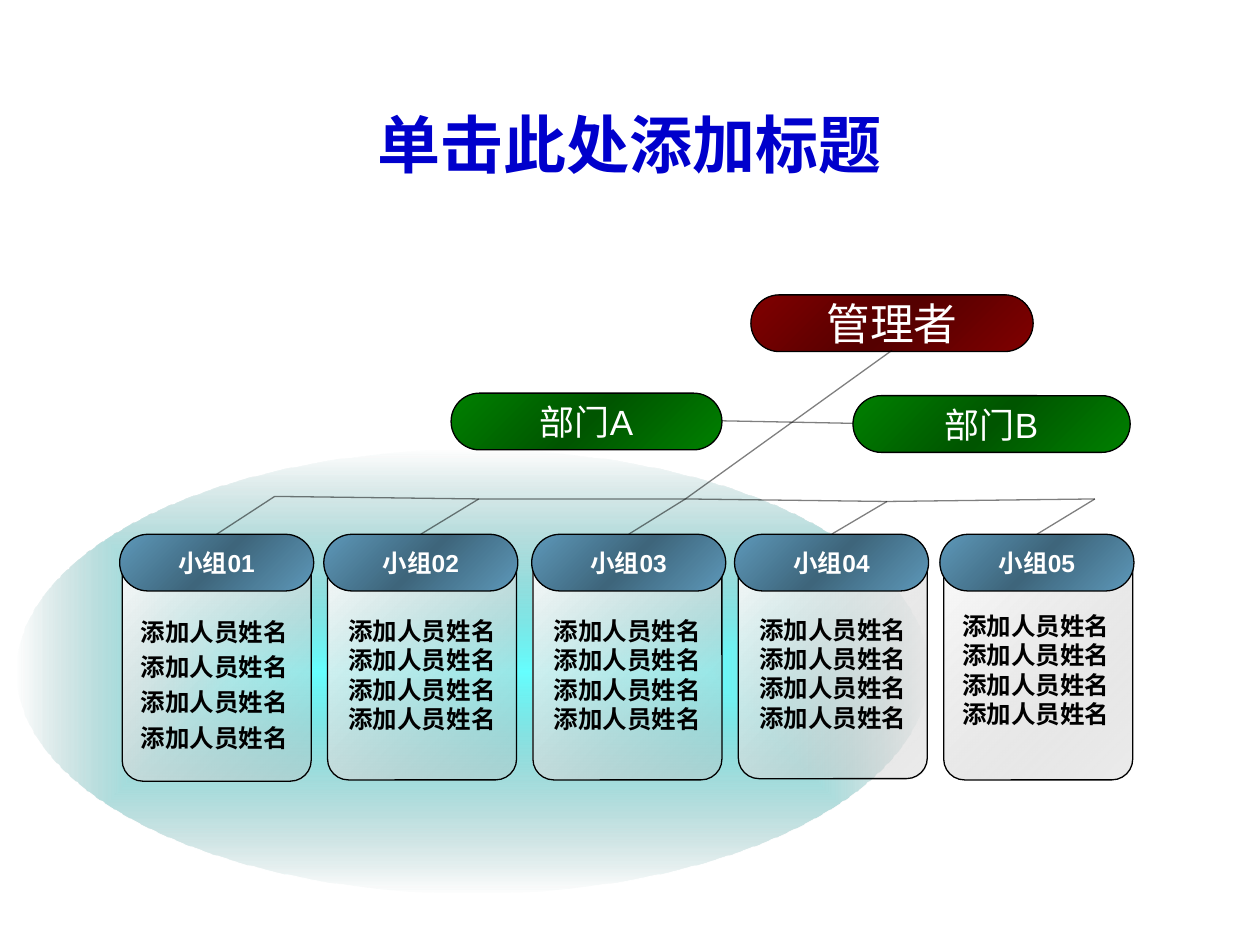
from lxml.etree import SubElement
from pptx import Presentation
from pptx.dml.color import RGBColor
from pptx.enum.shapes import MSO_CONNECTOR, MSO_SHAPE
from pptx.enum.text import MSO_ANCHOR, PP_ALIGN
from pptx.oxml import parse_xml
from pptx.oxml.ns import nsdecls, qn
from pptx.util import Inches, Pt

BLACK = RGBColor(0x00, 0x00, 0x00)
WHITE = RGBColor(0xFF, 0xFF, 0xFF)
TITLE_BLUE = RGBColor(0x00, 0x00, 0xCC)
RED = RGBColor(0x80, 0x00, 0x00)
DARK_RED = RGBColor(0x55, 0x00, 0x00)
GREEN = RGBColor(0x00, 0x80, 0x00)
DARK_GREEN = RGBColor(0x00, 0x55, 0x00)
STEEL = RGBColor(0x5D, 0x98, 0xB9)
DARK_STEEL = RGBColor(0x3E, 0x65, 0x7B)
CYAN = RGBColor(0x66, 0xFF, 0xFF)
TEAL = RGBColor(0x2F, 0x76, 0x76)
SILVER = RGBColor(0xC0, 0xC0, 0xC0)

LINEAR = '<a:lin ang="2700000" scaled="1"/>'
FROM_CENTER = ('<a:path path="rect"><a:fillToRect l="50000" t="50000" '
               'r="50000" b="50000"/></a:path>')


def set_gradient(sp, stops, direction=LINEAR):
    gs = "".join(
        f'<a:gs pos="{pos * 1000}"><a:srgbClr val="{color}">'
        f'<a:alpha val="{alpha * 1000}"/></a:srgbClr></a:gs>'
        for pos, color, alpha in stops)
    sp.fill.background()
    props = sp._element.spPr
    props.replace(props.find(qn("a:noFill")), parse_xml(
        f'<a:gradFill {nsdecls("a")} rotWithShape="1">'
        f'<a:gsLst>{gs}</a:gsLst>{direction}</a:gradFill>'))
    sp.shadow.inherit = False


def add_pill(x, y, w, text, size, bold, color, dark):
    sp = s.shapes.add_shape(MSO_SHAPE.ROUNDED_RECTANGLE, Inches(x), Inches(y), Inches(w), Inches(0.45))
    sp.adjustments[0] = 0.5
    set_gradient(sp, [(0, color, 100), (50, dark, 100), (100, color, 100)])
    sp.line.color.rgb = BLACK
    sp.line.width = Pt(0.75)
    tf = sp.text_frame
    tf.word_wrap = False
    tf.vertical_anchor = MSO_ANCHOR.MIDDLE
    p = tf.paragraphs[0]
    p.text = text
    p.alignment = PP_ALIGN.CENTER
    p.font.name = "Arial"
    p.font.size = Pt(size)
    p.font.bold = bold
    p.font.color.rgb = WHITE


prs = Presentation()
prs.slide_width = Inches(10)
prs.slide_height = Inches(7.5)
s = prs.slides.add_slide(prs.slide_layouts[6])

title = s.shapes.add_textbox(Inches(1.25), Inches(0.77), Inches(7.5), Inches(0.73))
tf = title.text_frame
tf.word_wrap = True
tf.vertical_anchor = MSO_ANCHOR.MIDDLE
p = tf.paragraphs[0]
p.text = "单击此处添加标题"
p.alignment = PP_ALIGN.CENTER
p.font.name = "Arial"
p.font.size = Pt(36)
p.font.bold = True
p.font.color.rgb = TITLE_BLUE

glow = s.shapes.add_shape(MSO_SHAPE.OVAL, Inches(0.13), Inches(3.57), Inches(7.24), Inches(3.51))
set_gradient(glow, [(0, CYAN, 100), (100, TEAL, 0)], FROM_CENTER)
glow.line.fill.background()

add_pill(6.77, 3.14, 2.2, "部门B", 20, False, GREEN, DARK_GREEN)
add_pill(3.58, 3.12, 2.15, "部门A", 20, False, GREEN, DARK_GREEN)
add_pill(5.96, 2.34, 2.24, "管理者", 25, False, RED, DARK_RED)

cards = [
    (0.97, 4.29, 0.51, PP_ALIGN.LEFT, 1.2),
    (2.6, 4.28, 0.56, PP_ALIGN.CENTER, 1.0),
    (4.23, 4.28, 0.56, PP_ALIGN.CENTER, 1.0),
    (5.86, 4.27, 0.56, PP_ALIGN.CENTER, 1.0),
    (7.49, 4.28, 0.52, PP_ALIGN.LEFT, 1.0),
]
for x, y, top, align, spacing in cards:
    sp = s.shapes.add_shape(MSO_SHAPE.ROUNDED_RECTANGLE, Inches(x), Inches(y), Inches(1.5), Inches(1.91))
    sp.adjustments[0] = 0.11
    set_gradient(sp, [(0, WHITE, 100), (100, SILVER, 30)])
    sp.line.color.rgb = BLACK
    sp.line.width = Pt(0.75)
    tf = sp.text_frame
    tf.word_wrap = True
    tf.vertical_anchor = MSO_ANCHOR.TOP
    tf.margin_top = Inches(top)
    tf.text = "\n".join(["添加人员姓名"] * 4)
    for p in tf.paragraphs:
        p.alignment = align
        p.line_spacing = spacing
        p.font.name = "Arial"
        p.font.size = Pt(14)
        p.font.bold = True
        p.font.color.rgb = BLACK

head_lefts = [0.95, 2.57, 4.22, 5.83, 7.46]
for i, x in enumerate(head_lefts, 1):
    add_pill(x, 4.24, 1.54, f"小组{i:02d}", 14, True, STEEL, DARK_STEEL)

joints = [(2.18, 3.94), (3.8, 3.96), (5.44, 3.96), (7.04, 3.98), (8.69, 3.96)]
points = [(Inches(x), Inches(y)) for x, y in joints]
builder = s.shapes.build_freeform(*points[0])
builder.add_line_segments(points[1:], close=False)
bus = builder.convert_to_shape()
bus.fill.background()
lines = [bus]

links = [((x + 0.77, 4.24), joint) for x, joint in zip(head_lefts, joints)]
links += [(joints[2], (7.08, 2.78)), ((5.73, 3.34), (6.77, 3.36))]
for (x1, y1), (x2, y2) in links:
    lines.append(s.shapes.add_connector(MSO_CONNECTOR.STRAIGHT, Inches(x1), Inches(y1), Inches(x2), Inches(y2)))

for line in lines:
    line.line.color.rgb = BLACK
    line.line.width = Pt(0.75)
    props = line._element.spPr
    SubElement(props.find(".//" + qn("a:srgbClr")), qn("a:alpha"), val="50000")
    SubElement(props, qn("a:effectLst"))

prs.save("out.pptx")
